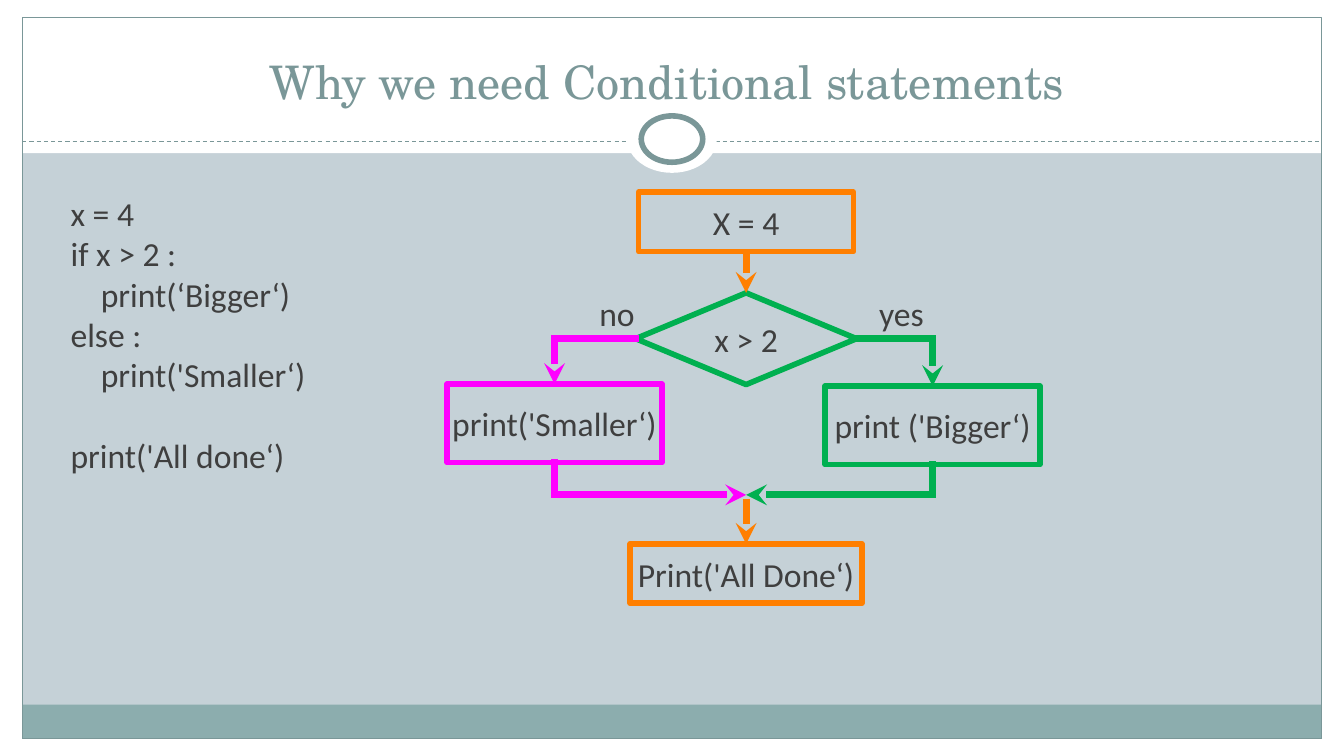
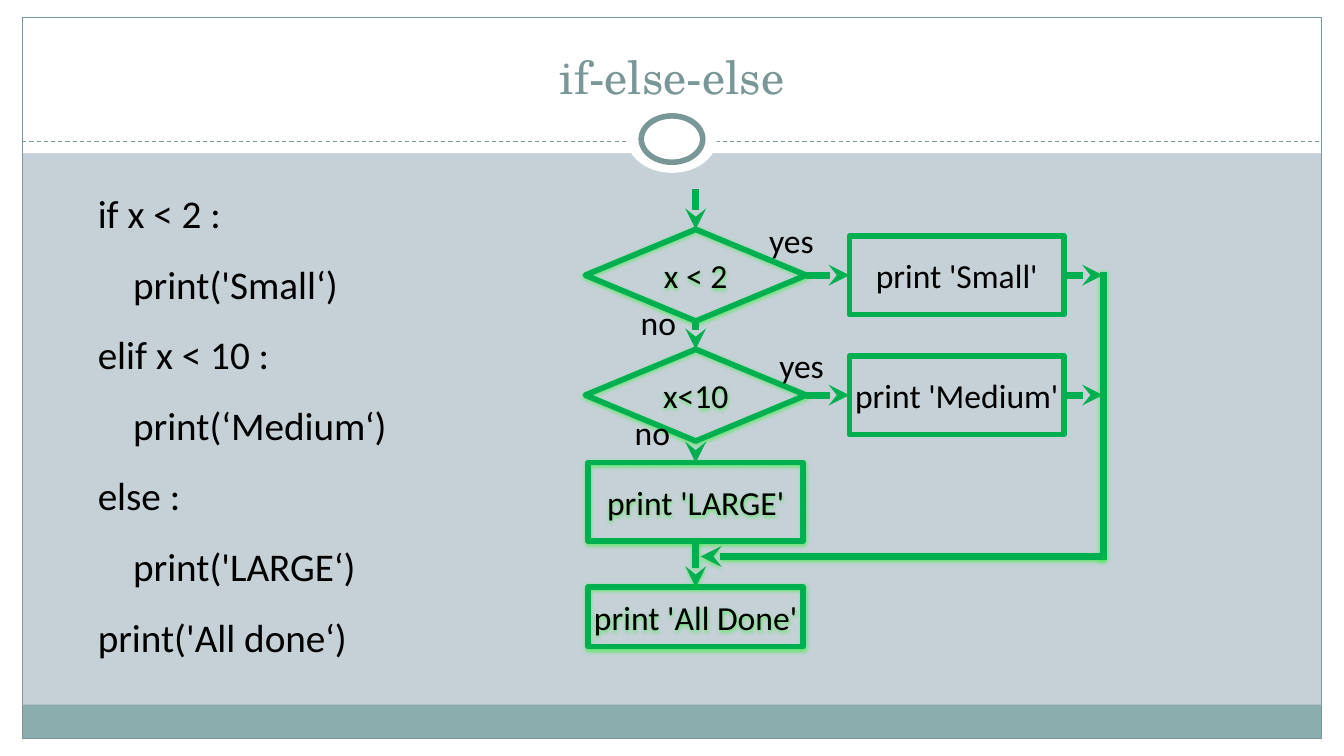
"""Build two slides on conditional statements, each with code and a flowchart."""
from lxml import etree
from pptx import Presentation
from pptx import util as u
from pptx.dml.color import RGBColor
from pptx.enum import dml, shapes, text
from pptx.oxml import ns

WIDTH, HEIGHT = 13.33, 7.5
SIDE, EDGE, HEADER, FOOTER = 0.22, 0.17, 1.52, 0.34
TITLE_FONT, BODY_FONT = "TeX Gyre Schola", "Calibri"
COLORS = {
    "background": "C5D1D7", "white": "FFFFFF", "band": "8CADAE", "accent": "7A9798",
    "gray": "3F3F3F", "black": "000000", "green": "00B050", "orange": "FF7F00",
    "magenta": "FF00FF", "glow": "00FF00",
}
TOP, LEFT, BOTTOM, RIGHT = range(4)
RECTANGLE, DIAMOND = shapes.MSO_SHAPE.RECTANGLE, shapes.MSO_SHAPE.DIAMOND
KINDS = {
    "terminal": (RECTANGLE, 2.13, 0.59),
    "wide terminal": (RECTANGLE, 2.3, 0.59),
    "action": (RECTANGLE, 2.13, 0.78),
    "test": (DIAMOND, 2.19, 0.91),
}

NO_X, MAIN_X, YES_X, TEST_Y, JOIN_Y = 5.5, 7.4, 9.25, 3.36, 4.91
CHAIN_X, ACTION_X, RETURN_X, SMALL_Y, MEDIUM_Y, RETURN_Y = 6.9, 9.49, 10.94, 2.73, 3.92, 5.52

SLIDES = [
    {
        "title": ("Why we need Conditional statements", 1.95, 0.3),
        "ink": "gray",
        "code": {
            "box": (0.7, 1.9, 2.85, 2.83), "size": 24, "spacing": 1, "indent": 0.3,
            "lines": [("x = 4", 0, 0), ("if x > 2 :", 0, 0), ("print(‘Bigger‘)", 1, 0),
                      ("else :", 0, 0), ("print('Smaller‘)", 1, 0), ("print('All done‘)", 0, 29)],
        },
        "nodes": {
            "start": ("X = 4", "terminal", MAIN_X, 2.2, "orange", False),
            "test": ("x > 2", "test", MAIN_X, TEST_Y, "green", False),
            "bigger": ("print ('Bigger‘)", "action", YES_X, 4.22, "green", False),
            "smaller": ("print('Smaller‘)", "action", NO_X, 4.2, "magenta", False),
            "done": ("Print('All Done‘)", "wide terminal", MAIN_X, 5.69, "orange", False),
        },
        "paths": [
            ("orange", False, [("start", BOTTOM), ("test", TOP)]),
            ("green", False, [("test", RIGHT), (YES_X, TEST_Y), ("bigger", TOP)]),
            ("green", False, [("bigger", BOTTOM), (YES_X, JOIN_Y), (MAIN_X, JOIN_Y)]),
            ("magenta", False, [("test", LEFT), (NO_X, TEST_Y), ("smaller", TOP)]),
            ("magenta", False, [("smaller", BOTTOM), (NO_X, JOIN_Y), (MAIN_X, JOIN_Y)]),
            ("orange", False, [(MAIN_X, 4.95), ("done", TOP)]),
        ],
        "labels": [("yes", 8.94, 3.11), ("no", 6.12, 3.11)],
    },
    {
        "title": ("if-else-else", 2, 0.25),
        "ink": "black",
        "code": {
            "box": (0.97, 1.62, 4.36, 4.95), "size": 28, "spacing": 1.5, "indent": 0.35,
            "lines": [("if x < 2 :", 0, 0), ("print('Small‘)", 1, 0), ("elif x < 10 :", 0, 0),
                      ("print(‘Medium‘)", 1, 0), ("else :", 0, 0), ("print('LARGE‘)", 1, 0),
                      ("print('All done‘)", 0, 0)],
        },
        "nodes": {
            "below 2": ("x < 2", "test", CHAIN_X, SMALL_Y, "green", True),
            "small": ("print 'Small'", "action", ACTION_X, SMALL_Y, "green", False),
            "below 10": ("x<10", "test", CHAIN_X, MEDIUM_Y, "green", True),
            "medium": ("print 'Medium'", "action", ACTION_X, MEDIUM_Y, "green", False),
            "large": ("print 'LARGE'", "action", CHAIN_X, 4.98, "green", True),
            "done": ("print 'All Done'", "terminal", CHAIN_X, 6.12, "green", True),
        },
        "paths": [
            ("green", False, [(CHAIN_X, 1.88), ("below 2", TOP)]),
            ("green", False, [("below 2", RIGHT), ("small", LEFT)]),
            ("green", False, [("below 2", BOTTOM), ("below 10", TOP)]),
            ("green", False, [("below 10", RIGHT), ("medium", LEFT)]),
            ("green", False, [("below 10", BOTTOM), ("large", TOP)]),
            ("green", True, [("large", BOTTOM), ("done", TOP)]),
            ("green", False, [("small", RIGHT), (RETURN_X, SMALL_Y)]),
            ("green", False, [("medium", RIGHT), (RETURN_X, MEDIUM_Y)]),
            ("green", True, [(RETURN_X, SMALL_Y), (RETURN_X, RETURN_Y), (CHAIN_X + 0.05, RETURN_Y)]),
        ],
        "labels": [("yes", 7.85, 2.38), ("no", 6.53, 3.2), ("yes", 7.95, 3.62), ("no", 6.47, 4.29)],
    },
]


def inches(*lengths):
    return [u.Inches(length) for length in lengths]


def rgb(name):
    return RGBColor.from_string(COLORS[name])


def set_effects(properties, glow=False):
    effects = properties.find(ns.qn("a:effectLst"))
    if effects is None:
        effects = etree.SubElement(properties, ns.qn("a:effectLst"))
    if glow:
        shadow = etree.SubElement(effects, ns.qn("a:outerShdw"), blurRad="38100", dist="12700",
                                  dir="5400000", algn="ctr", rotWithShape="0")
        color = etree.SubElement(shadow, ns.qn("a:srgbClr"), val=COLORS["glow"])
        etree.SubElement(color, ns.qn("a:alpha"), val="50000")


def add_shape(slide, kind, box, fill=None, line=None, weight=0.75):
    shape = slide.shapes.add_shape(kind, *inches(*box))
    shape.shadow.inherit = False
    if fill:
        shape.fill.solid()
        shape.fill.fore_color.rgb = rgb(fill)
    else:
        shape.fill.background()
    if line:
        shape.line.color.rgb = rgb(line)
        shape.line.width = u.Pt(weight)
    else:
        shape.line.fill.background()
    return shape


def add_line(slide, start, end, color, weight):
    line = slide.shapes.add_connector(shapes.MSO_CONNECTOR.STRAIGHT, *inches(*start, *end))
    line.line.color.rgb = rgb(color)
    line.line.width = u.Pt(weight)
    return line


def style(paragraph, size, color, font=BODY_FONT, align=text.PP_ALIGN.CENTER):
    paragraph.alignment = align
    paragraph.font.name = font
    paragraph.font.size = u.Pt(size)
    paragraph.font.color.rgb = rgb(color)


def clear_frame(shape, wrap=False):
    frame = shape.text_frame
    frame.word_wrap = wrap
    frame.vertical_anchor = text.MSO_ANCHOR.MIDDLE
    frame.margin_left = frame.margin_right = frame.margin_top = frame.margin_bottom = 0
    return frame


def add_base(slide, title, left, top):
    slide.background.fill.solid()
    slide.background.fill.fore_color.rgb = rgb("background")
    inner = WIDTH - 2 * SIDE
    for box in [(0, HEIGHT - EDGE, WIDTH, EDGE), (0, 0, WIDTH, HEADER),
                (0, 0, SIDE, HEIGHT), (WIDTH - SIDE, 0, SIDE, HEIGHT)]:
        add_shape(slide, RECTANGLE, box, "white")
    add_shape(slide, RECTANGLE, (SIDE, HEIGHT - EDGE - FOOTER, inner, FOOTER), "band")
    add_shape(slide, RECTANGLE, (SIDE, EDGE, inner, HEIGHT - 2 * EDGE), line="accent")
    divider = add_line(slide, (SIDE, 1.4), (WIDTH - SIDE, 1.4), "accent", 0.75)
    divider.line.dash_style = dml.MSO_LINE.DASH
    set_effects(divider._element.spPr)
    for width, height, line in [(0.89, 0.67, None), (0.61, 0.46, "accent")]:
        box = ((WIDTH - width) / 2, 1.38 - height / 2, width, height)
        add_shape(slide, shapes.MSO_SHAPE.OVAL, box, "white", line, 4)
    frame = slide.shapes.add_textbox(*inches(left, top, WIDTH * 0.7, 0.83)).text_frame
    frame.word_wrap = True
    frame.vertical_anchor = text.MSO_ANCHOR.BOTTOM
    frame.text = title
    style(frame.paragraphs[0], 33, "accent", TITLE_FONT)


def add_code(slide, code, ink):
    frame = clear_frame(slide.shapes.add_textbox(*inches(*code["box"])), True)
    for index, (words, level, gap) in enumerate(code["lines"]):
        paragraph = frame.add_paragraph() if index else frame.paragraphs[0]
        paragraph.text = words
        style(paragraph, code["size"], ink, align=text.PP_ALIGN.LEFT)
        paragraph.line_spacing = float(code["spacing"])
        paragraph.space_before = u.Pt(gap)
        paragraph._p.get_or_add_pPr().set("marL", str(u.Inches(level * code["indent"])))


def add_node(slide, words, kind, x, y, color, glow, ink):
    preset, width, height = KINDS[kind]
    shape = add_shape(slide, preset, (x - width / 2, y - height / 2, width, height), line=color, weight=4)
    set_effects(shape._element.spPr, glow)
    frame = clear_frame(shape)
    frame.text = words
    style(frame.paragraphs[0], 24, ink)
    return shape


def add_path(slide, nodes, color, glow, stops):
    for index, (start, end) in enumerate(zip(stops, stops[1:])):
        points = [(0, 0) if stop[0] in nodes else stop for stop in (start, end)]
        connector = add_line(slide, *points, color, 5)
        if start[0] in nodes:
            connector.begin_connect(nodes[start[0]], start[1])
        if end[0] in nodes:
            connector.end_connect(nodes[end[0]], end[1])
        outline = connector.line._get_or_add_ln()
        if index == len(stops) - 2:
            etree.SubElement(outline, ns.qn("a:tailEnd"), type="stealth")
        else:
            outline.set("cap", "sq")
        set_effects(connector._element.spPr, glow)


def add_label(slide, words, x, y, ink):
    width, height = 0.45, 0.4
    box = inches(x - width / 2, y - height / 2, width, height)
    frame = clear_frame(slide.shapes.add_textbox(*box))
    frame.text = words
    style(frame.paragraphs[0], 24, ink)


def main():
    presentation = Presentation()
    presentation.slide_width, presentation.slide_height = inches(WIDTH, HEIGHT)
    for content in SLIDES:
        slide = presentation.slides.add_slide(presentation.slide_layouts[6])
        ink = content["ink"]
        add_base(slide, *content["title"])
        add_code(slide, content["code"], ink)
        nodes = {name: add_node(slide, *node, ink) for name, node in content["nodes"].items()}
        for path in content["paths"]:
            add_path(slide, nodes, *path)
        for label in content["labels"]:
            add_label(slide, *label, ink)
    presentation.save("out.pptx")


if __name__ == "__main__":
    main()
